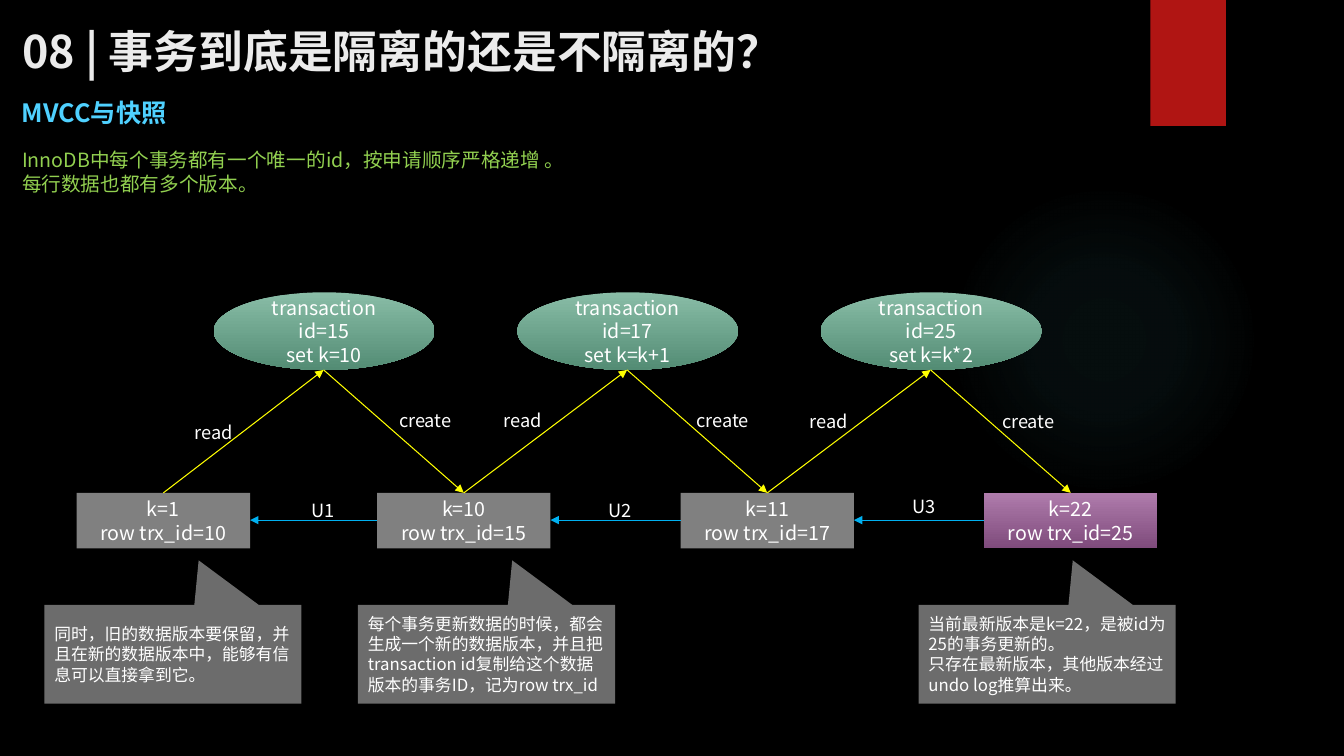
from lxml import etree
from pptx import Presentation
from pptx import util as u
from pptx.dml.color import RGBColor
from pptx.enum import shapes, text
from pptx.oxml import ns, parse_xml

FONT = "Noto Sans CJK SC"
COLORS = {
    "black": "000000", "red": "B01513", "glow": "50B9C1", "title": "EBEBEB",
    "cyan": "4FD1FF", "lime": "92D050", "white": "FFFFFF", "gray": "808080",
    "callout": "D9D9D9", "yellow": "FFFF00", "blue": "00B0F0",
    "green top": "89BDA7", "green bottom": "538C74",
    "purple top": "AF7CAC", "purple bottom": "7F4B7C",
}
TITLE = "08 | 事务到底是隔离的还是不隔离的？"
SUBTITLE = "MVCC与快照"
INTRO = ["InnoDB中每个事务都有一个唯一的id，按申请顺序严格递增 。",
         "每行数据也都有多个版本。"]
TRANSACTIONS = [["transaction id=15", "set k=10"],
                ["transaction id=17", "set k=k+1"],
                ["transaction id=25", "set k=k*2"]]
VERSIONS = [(76, ["k=1", "row trx_id=10"]),
            (374, ["k=10", "row trx_id=15"]),
            (675, ["k=11", "row trx_id=17"]),
            (976, ["k=22", "row trx_id=25"])]
LABELS = [("read", 183, 413, 59), ("create", 386, 401, 73), ("U1", 299, 490, 45),
          ("read", 490, 401, 59), ("create", 681, 401, 76), ("U2", 594, 490, 45),
          ("read", 793, 402, 59), ("create", 984, 402, 76), ("U3", 895, 486, 45)]
CALLOUTS = [
    (44, ["同时，旧的数据版本要保留，并且在新的数据版本中，能够有信息可以直接拿到它。"]),
    (355, ["每个事务更新数据的时候，都会生成一个新的数据版本，并且把transaction id复制给这个数据版本的事务ID，记为row trx_id"]),
    (911, ["当前最新版本是k=22，是被id为25的事务更新的。",
           "只存在最新版本，其他版本经过undo log推算出来。"]),
]
ELLIPSE_LEFT, ELLIPSE_PITCH, ELLIPSE_TOP, ELLIPSE_W, ELLIPSE_H = 212, 301, 290, 219, 77
ROW_TOP, ROW_W, ROW_H = 489, 172, 55


def px(*lengths):
    return [u.Emu(length * 9144) for length in lengths]


def rgb(name):
    return RGBColor.from_string(COLORS[name])


def write(shape, lines, size=14, color="white", bold=False, wrap=True,
          align=text.PP_ALIGN.LEFT, anchor=text.MSO_ANCHOR.TOP):
    frame = shape.text_frame
    frame.text = "\n".join(lines)
    frame.word_wrap = wrap
    frame.auto_size = text.MSO_AUTO_SIZE.NONE
    frame.vertical_anchor = anchor
    for paragraph in frame.paragraphs:
        paragraph.alignment = align
        for run in paragraph.runs:
            run.font.name = FONT
            run.font.size = u.Pt(size)
            run.font.bold = bold
            run.font.color.rgb = rgb(color)
            latin = run.font._element.find(ns.qn("a:latin"))
            east_asian = etree.Element(ns.qn("a:ea"), typeface=FONT)
            latin.addnext(east_asian)


def add_block(kind, box, *fills):
    block = slide.shapes.add_shape(kind, *px(*box))
    block.shadow.inherit = False
    block.line.fill.background()
    if len(fills) == 1:
        block.fill.solid()
        block.fill.fore_color.rgb = rgb(fills[0])
    else:
        block.fill.gradient()
        block.fill.gradient_angle = 270
        for stop, fill, position in zip(block.fill.gradient_stops, fills, (0, 1)):
            stop.color.rgb = rgb(fill)
            stop.position = position
    return block


def add_arrow(start, end, color):
    arrow = slide.shapes.add_connector(shapes.MSO_CONNECTOR.STRAIGHT, *px(*start, *end))
    arrow.line.color.rgb = rgb(color)
    arrow.line.width = u.Pt(0.75)
    properties = arrow.element.spPr
    etree.SubElement(properties.find(ns.qn("a:ln")), ns.qn("a:tailEnd"), type="triangle")
    etree.SubElement(properties, ns.qn("a:effectLst"))


def add_text(box, lines, **style):
    write(slide.shapes.add_textbox(*px(*box)), lines, **style)


def add_glow():
    glow = add_block(shapes.MSO_SHAPE.OVAL, (941, 183, 308, 308), "glow")
    stops = "".join(
        f'<a:gs pos="{position * 1000}"><a:srgbClr val="{COLORS["glow"]}">'
        f'<a:alpha val="{alpha * 1000}"/></a:srgbClr></a:gs>'
        for position, alpha in ((0, 7), (36, 6), (69, 0), (100, 0)))
    properties = glow.element.spPr
    solid = properties.find(ns.qn("a:solidFill"))
    properties.replace(solid, parse_xml(
        f'<a:gradFill {ns.nsdecls("a")} rotWithShape="1"><a:gsLst>{stops}</a:gsLst>'
        '<a:path path="circle"><a:fillToRect l="50000" t="50000" r="50000" b="50000"/>'
        '</a:path></a:gradFill>'))


deck = Presentation()
deck.slide_width, deck.slide_height = px(1333, 750)
slide = deck.slides.add_slide(deck.slide_layouts[5])
slide.background.fill.solid()
slide.background.fill.fore_color.rgb = rgb("black")

add_glow()
add_block(shapes.MSO_SHAPE.RECTANGLE, (1141, 0, 75, 125), "red")

title = slide.shapes.title
title.left, title.top, title.width, title.height = px(12, 17, 1219, 66)
write(title, [TITLE], size=32, color="title", bold=True, anchor=text.MSO_ANCHOR.MIDDLE)
add_text((12, 92, 173, 40), [SUBTITLE], size=18, color="cyan", bold=True, wrap=False)
add_text((12, 142, 971, 57), INTRO, color="lime")

centered = {"align": text.PP_ALIGN.CENTER, "anchor": text.MSO_ANCHOR.MIDDLE}
for index, transaction in enumerate(TRANSACTIONS):
    left = ELLIPSE_LEFT + index * ELLIPSE_PITCH
    ellipse = add_block(shapes.MSO_SHAPE.OVAL, (left, ELLIPSE_TOP, ELLIPSE_W, ELLIPSE_H),
                        "green top", "green bottom")
    write(ellipse, transaction, **centered)

for left, version in VERSIONS:
    fills = ("purple top", "purple bottom") if version == VERSIONS[-1][1] else ("gray",)
    row = add_block(shapes.MSO_SHAPE.RECTANGLE, (left, ROW_TOP, ROW_W, ROW_H), *fills)
    write(row, version, **centered)

row_middle = ROW_TOP + ROW_H // 2
for index, ((older, _), (newer, _)) in enumerate(zip(VERSIONS, VERSIONS[1:])):
    transaction_foot = (ELLIPSE_LEFT + index * ELLIPSE_PITCH + ELLIPSE_W // 2,
                        ELLIPSE_TOP + ELLIPSE_H)
    add_arrow((older + ROW_W // 2, ROW_TOP), transaction_foot, "yellow")
    add_arrow(transaction_foot, (newer + ROW_W // 2, ROW_TOP), "yellow")
    add_arrow((newer, row_middle), (older + ROW_W, row_middle), "blue")

for label, left, top, width in LABELS:
    add_text((left, top, width, 32), [label], size=13, wrap=False)

for left, remark in CALLOUTS:
    callout = add_block(shapes.MSO_SHAPE.RECTANGULAR_CALLOUT, (left, 600, 255, 98), "callout")
    callout.adjustments[0], callout.adjustments[1] = 0.1, -0.95
    tint = callout.element.spPr.find(ns.qn("a:solidFill"))[0]
    etree.SubElement(tint, ns.qn("a:alpha"), val="50000")
    write(callout, remark, size=12, anchor=text.MSO_ANCHOR.MIDDLE)

deck.save("out.pptx")
